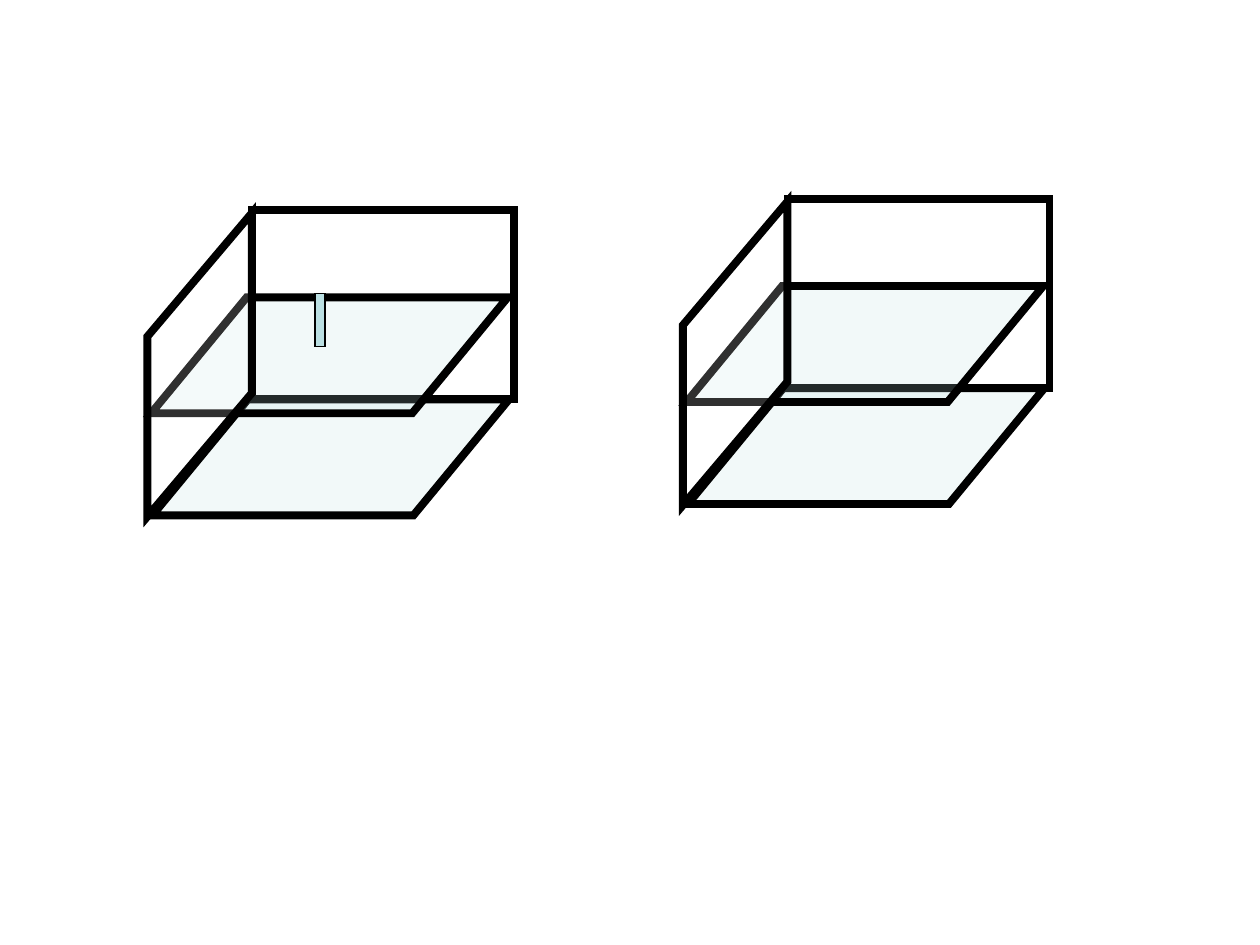
from lxml import etree
from pptx import Presentation
from pptx.dml.color import RGBColor
from pptx.enum import shapes
from pptx.oxml.ns import qn
from pptx.util import Inches, Pt

RECT = shapes.MSO_SHAPE.RECTANGLE
SLANT = shapes.MSO_SHAPE.PARALLELOGRAM
WATER, GLASS, EDGE = "BBE0E3", "FFFFFF", "000000"
SEE_THROUGH = 19

TANK_ORIGINS = [(1.2, 1.67), (5.45, 1.58)]
LEVEL = dict(kind=SLANT, fill=WATER, adj=0.824, alpha=SEE_THROUGH)
TANK_PARTS = [
    dict(box=(0.8, 0, 2.08, 1.5), kind=RECT, fill=GLASS),
    dict(box=(0.01, 1.5, 2.83, 0.92), **LEVEL),
    dict(box=(0, 0.69, 2.83, 0.92), **LEVEL),
    dict(box=(-0.82, 0.81, 2.41, 0.83), kind=SLANT, fill=GLASS, adj=1.182,
         alpha=SEE_THROUGH, rotation=90, flip=True),
]
STICK = dict(box=(2.5, 2.33, 0.08, 0.42), kind=RECT, fill=WATER, weight=0.75)


def add_panel(parent, box, kind, fill, origin=(0, 0), weight=4.5, adj=None,
              alpha=None, rotation=0, flip=False):
    """Add one outlined panel, placed relative to origin."""
    x, y, w, h = box
    sp = parent.add_shape(kind, Inches(origin[0] + x), Inches(origin[1] + y),
                          Inches(w), Inches(h))
    sp.shadow.inherit = False
    sp.fill.solid()
    sp.fill.fore_color.rgb = RGBColor.from_string(fill)
    sp.line.color.rgb = RGBColor.from_string(EDGE)
    sp.line.width = Pt(weight)
    sp.rotation = rotation
    props = sp._element.spPr
    etree.SubElement(props.find(qn("a:ln")), qn("a:miter"), lim="800000")
    if adj is not None:
        sp.adjustments[0] = adj
    if alpha is not None:
        color = props.find(qn("a:solidFill")).find(qn("a:srgbClr"))
        etree.SubElement(color, qn("a:alpha"), val=str(alpha * 1000))
    if flip:
        props.find(qn("a:xfrm")).set("flipH", "1")
    return sp


def main():
    """Build the slide with two water tanks and a stick."""
    prs = Presentation()
    prs.slide_width, prs.slide_height = Inches(10), Inches(7.5)
    slide = prs.slides.add_slide(prs.slide_layouts[6])
    for origin in TANK_ORIGINS:
        tank = slide.shapes.add_group_shape()
        for part in TANK_PARTS:
            add_panel(tank.shapes, origin=origin, **part)
    add_panel(slide.shapes, **STICK)
    prs.save("out.pptx")


if __name__ == "__main__":
    main()
